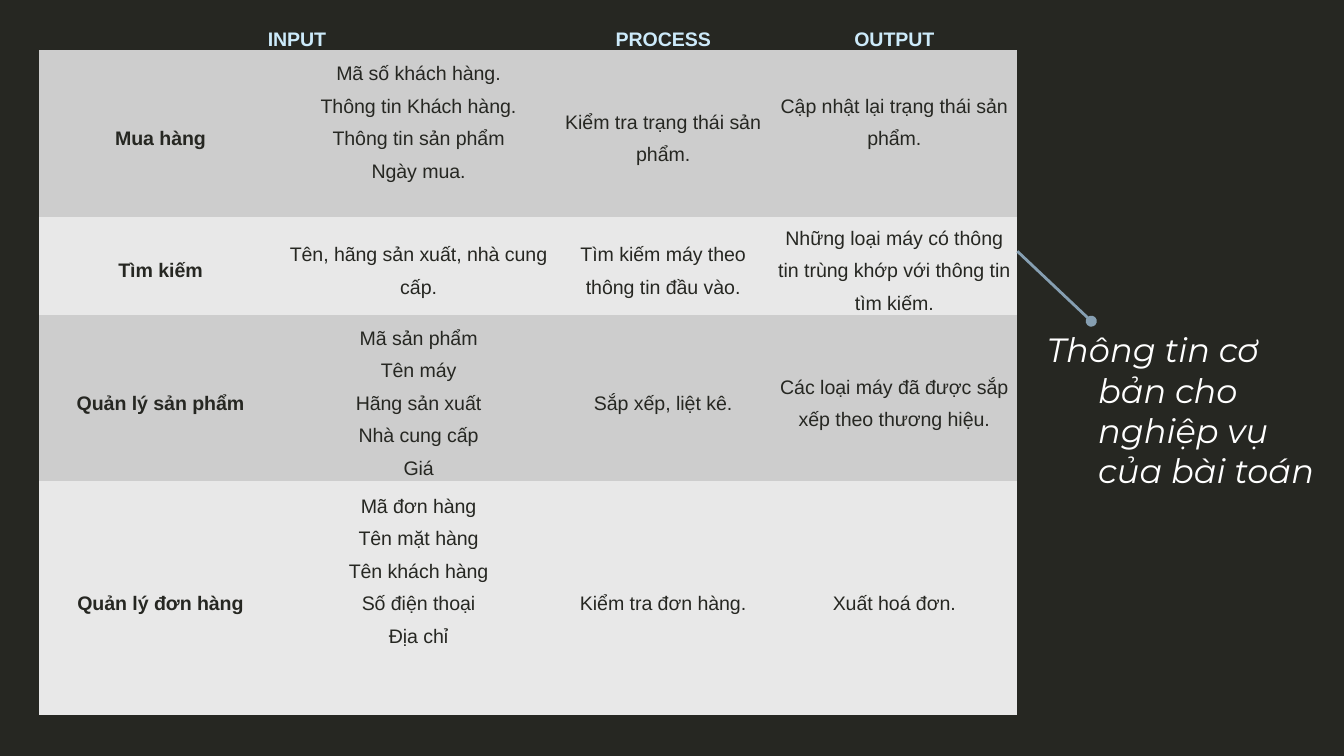
from dataclasses import dataclass

from lxml.etree import SubElement
from pptx import Presentation
from pptx.dml.color import RGBColor
from pptx.enum.shapes import MSO_CONNECTOR
from pptx.enum.text import MSO_ANCHOR, MSO_AUTO_SIZE, PP_ALIGN
from pptx.oxml.ns import qn
from pptx.util import Inches, Pt


@dataclass(frozen=True)
class Theme:
    dark: str = "262722"
    light: str = "FFFFFF"
    head: str = "CCEAFA"
    bands: tuple = ("CDCDCD", "E8E8E8")
    line: str = "869FB2"
    cell_font: str = "Arial"
    note_font: str = "Montserrat"
    cell_size: float = 10.5
    note_size: float = 18
    no_grid: str = "{2D5ABB26-0587-4C30-8999-92F81FD0307C}"


WIDTHS = (1.81, 2.03, 1.61, 1.83)
HEIGHTS = (0.22, 1.24, 0.73, 1.24, 1.74)
TEXT_LINE = 0.24
HEADER = ("INPUT", "", "PROCESS", "OUTPUT")
TASKS = (
    ("Mua hàng",
     "Mã số khách hàng.\nThông tin Khách hàng.\nThông tin sản phẩm\nNgày mua.",
     "Kiểm tra trạng thái sản phẩm.",
     "Cập nhật lại trạng thái sản phẩm."),
    ("Tìm kiếm",
     "Tên, hãng sản xuất, nhà cung cấp.",
     "Tìm kiếm máy theo thông tin đầu vào.",
     "Những loại máy có thông tin trùng khớp với thông tin tìm kiếm."),
    ("Quản lý sản phẩm",
     "Mã sản phẩm\nTên máy\nHãng sản xuất\nNhà cung cấp\nGiá",
     "Sắp xếp, liệt kê.",
     "Các loại máy đã được sắp xếp theo thương hiệu."),
    ("Quản lý đơn hàng",
     "Mã đơn hàng\nTên mặt hàng\nTên khách hàng\nSố điện thoại\nĐịa chỉ",
     "Kiểm tra đơn hàng.",
     "Xuất hoá đơn."),
)
# Lines of room kept below the text, by (row, column)
ROOM = {(1, 1): 1, (1, 3): 1, (4, 1): 2}


class Deck:
    def __init__(self, theme):
        self.theme = theme
        self.file = Presentation()
        self.file.slide_width = Inches(10)
        self.file.slide_height = Inches(10 * 9 / 16)
        self.slide = self.file.slides.add_slide(self.file.slide_layouts[0])
        self.paint(self.slide.background.fill, theme.dark)

    def paint(self, fill, color):
        fill.solid()
        fill.fore_color.rgb = RGBColor.from_string(color)

    def style(self, text, font, size, color, bold=False, italic=False):
        for run in (run for par in text.paragraphs for run in par.runs):
            run.font.name, run.font.size = font, Pt(size)
            run.font.bold, run.font.italic = bold, italic
            run.font.color.rgb = RGBColor.from_string(color)

    def cell(self, cell, text, fill, color, bold, room):
        self.paint(cell.fill, fill)
        cell.margin_left = cell.margin_right = Inches(0.04)
        cell.margin_top, cell.margin_bottom = 0, Inches(room * TEXT_LINE)
        cell.vertical_anchor = MSO_ANCHOR.MIDDLE
        cell.text_frame.text = text
        for par in cell.text_frame.paragraphs:
            par.alignment, par.line_spacing = PP_ALIGN.CENTER, 1.5
        theme = self.theme
        self.style(cell.text_frame, theme.cell_font, theme.cell_size, color, bold)

    def table(self, left, top):
        rows, theme = (HEADER, *TASKS), self.theme
        table = self.slide.shapes.add_table(
            len(rows), len(WIDTHS), Inches(left), Inches(top),
            Inches(sum(WIDTHS)), Inches(sum(HEIGHTS))).table
        table.first_row = table.horz_banding = False
        table._tbl.tblPr.find(qn("a:tableStyleId")).text = theme.no_grid
        for column, width in zip(table.columns, WIDTHS):
            column.width = Inches(width)
        for row, height in zip(table.rows, HEIGHTS):
            row.height = Inches(height)
        for r, row in enumerate(rows):
            fill = theme.bands[(r - 1) % 2] if r else theme.dark
            color = theme.dark if r else theme.head
            for c, text in enumerate(row):
                self.cell(table.cell(r, c), text, fill, color,
                          r == 0 or c == 0, ROOM.get((r, c), 0))
        table.cell(0, 0).merge(table.cell(0, 1))

    def note(self, text, left, top, width, height):
        title, box = self.slide.placeholders
        title.element.getparent().remove(title.element)
        box.left, box.top = Inches(left), Inches(top)
        box.width, box.height = Inches(width), Inches(height)
        frame = box.text_frame
        frame.text = text
        frame.word_wrap, frame.auto_size = True, MSO_AUTO_SIZE.NONE
        frame.vertical_anchor = MSO_ANCHOR.MIDDLE
        frame.margin_left = frame.margin_right = Inches(0.1)
        frame.margin_top = frame.margin_bottom = Inches(0.1)
        par = frame.paragraphs[0]
        par.alignment, par.space_before = PP_ALIGN.LEFT, 0
        props = par._p.get_or_add_pPr()
        props.set("marL", str(Inches(0.5)))
        props.set("indent", str(Inches(-0.38)))
        theme = self.theme
        self.style(frame, theme.note_font, theme.note_size, theme.light, italic=True)

    def link(self, start, end):
        """Draw a line with a round dot at its start."""
        link = self.slide.shapes.add_connector(
            MSO_CONNECTOR.STRAIGHT, *map(Inches, (*start, *end)))
        link.line.width = Pt(1.5)
        link.line.color.rgb = RGBColor.from_string(self.theme.line)
        SubElement(link.line._get_or_add_ln(), qn("a:headEnd"), type="oval")
        SubElement(link._element.spPr, qn("a:effectLst"))


def main():
    deck = Deck(Theme())
    deck.table(0.29, 0.13)
    deck.note("Thông tin cơ bản cho nghiệp vụ của bài toán", 7.57, 2.39, 2.45, 1.32)
    deck.link((8.12, 2.39), (7.57, 1.87))
    deck.file.save("out.pptx")


if __name__ == "__main__":
    main()
